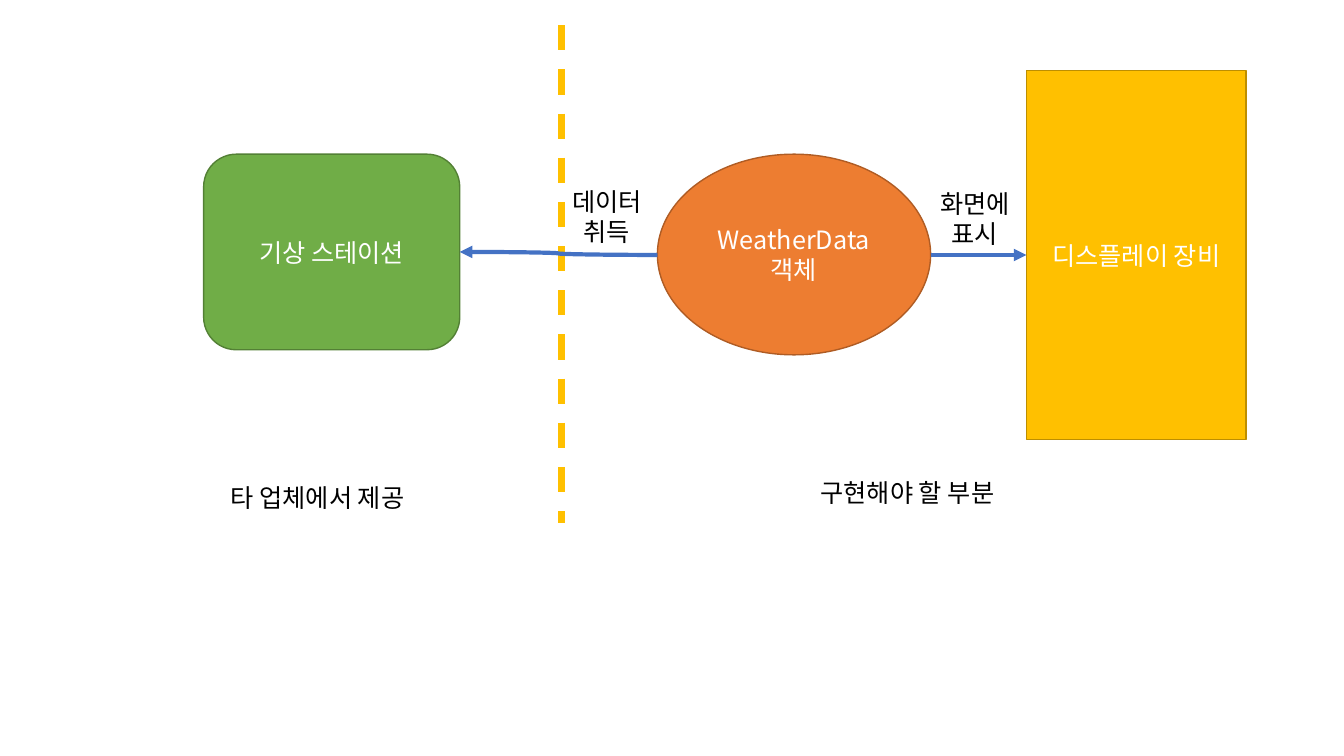
from lxml import etree
from pptx import Presentation
from pptx import util as u
from pptx.dml.color import RGBColor
from pptx.enum import dml, shapes, text
from pptx.oxml.ns import qn

PX = 9144  # 100 px to the inch
FONT = "Noto Sans CJK KR"
WHITE = RGBColor(0xFF, 0xFF, 0xFF)
BLACK = RGBColor(0x00, 0x00, 0x00)
GREEN = RGBColor(0x70, 0xAD, 0x47)
DARK_GREEN = RGBColor(0x53, 0x80, 0x35)
ORANGE = RGBColor(0xED, 0x7D, 0x31)
DARK_ORANGE = RGBColor(0xAF, 0x5C, 0x24)
GOLD = RGBColor(0xFF, 0xC0, 0x00)
DARK_GOLD = RGBColor(0xBD, 0x8E, 0x00)
BLUE = RGBColor(0x44, 0x72, 0xC4)

deck = Presentation()
deck.slide_width, deck.slide_height = 1333 * PX, 750 * PX
slide = deck.slides.add_slide(deck.slide_layouts[6])


def write(frame, wording, color, align):
    frame.text = wording
    for paragraph in frame.paragraphs:
        paragraph.alignment = align
        for run in paragraph.runs:
            run.font.size = u.Pt(18)
            run.font.name = FONT
            run.font.color.rgb = color
            etree.SubElement(run.font._element, qn("a:ea"), typeface=FONT)


def connect(kind, ends, color, width):
    link = slide.shapes.add_connector(kind, *(end * PX for end in ends))
    link.line.color.rgb = color
    link.line.width = u.Pt(width)
    etree.SubElement(link._element.spPr, qn("a:effectLst"))
    return link


# Border between the two responsibilities
border = connect(shapes.MSO_CONNECTOR.STRAIGHT, (557, 25, 557, 519), GOLD, 4.5)
border.line.dash_style = dml.MSO_LINE.DASH

# Station, data object and display
for kind, box, fill, outline, wording in [
    (shapes.MSO_SHAPE.ROUNDED_RECTANGLE, (202, 153, 254, 194), GREEN, DARK_GREEN, "기상 스테이션"),
    (shapes.MSO_SHAPE.OVAL, (652, 153, 271, 199), ORANGE, DARK_ORANGE, "WeatherData\n객체"),
    (shapes.MSO_SHAPE.RECTANGLE, (1018, 70, 218, 366), GOLD, DARK_GOLD, "디스플레이 장비"),
]:
    component = slide.shapes.add_shape(kind, *(side * PX for side in box))
    component.shadow.inherit = False
    component.fill.solid()
    component.fill.fore_color.rgb = fill
    component.line.color.rgb = outline
    component.line.width = u.Pt(1)
    component.text_frame.vertical_anchor = text.MSO_ANCHOR.MIDDLE
    write(component.text_frame, wording, WHITE, text.PP_ALIGN.CENTER)

# Arrows out of the data object
for kind, ends in [
    (shapes.MSO_CONNECTOR.CURVE, (652, 253, 456, 250)),
    (shapes.MSO_CONNECTOR.STRAIGHT, (923, 253, 1018, 253)),
]:
    arrow = connect(kind, ends, BLUE, 3)
    etree.SubElement(arrow.line._get_or_add_ln(), qn("a:tailEnd"), type="triangle")

# Arrow labels wrap and are centred; area captions stay on one line
for box, wording, wraps, align in [
    ((552, 180, 100, 71), "데이터 취득", True, text.PP_ALIGN.CENTER),
    ((917, 182, 100, 71), "화면에\n표시", True, text.PP_ALIGN.CENTER),
    ((804, 469, 215, 40), "구현해야 할 부분", False, text.PP_ALIGN.LEFT),
    ((219, 474, 215, 40), "타 업체에서 제공", False, text.PP_ALIGN.LEFT),
]:
    label = slide.shapes.add_textbox(*(side * PX for side in box)).text_frame
    label.word_wrap = wraps
    label.auto_size = text.MSO_AUTO_SIZE.SHAPE_TO_FIT_TEXT
    write(label, wording, BLACK, align)

deck.save("out.pptx")
